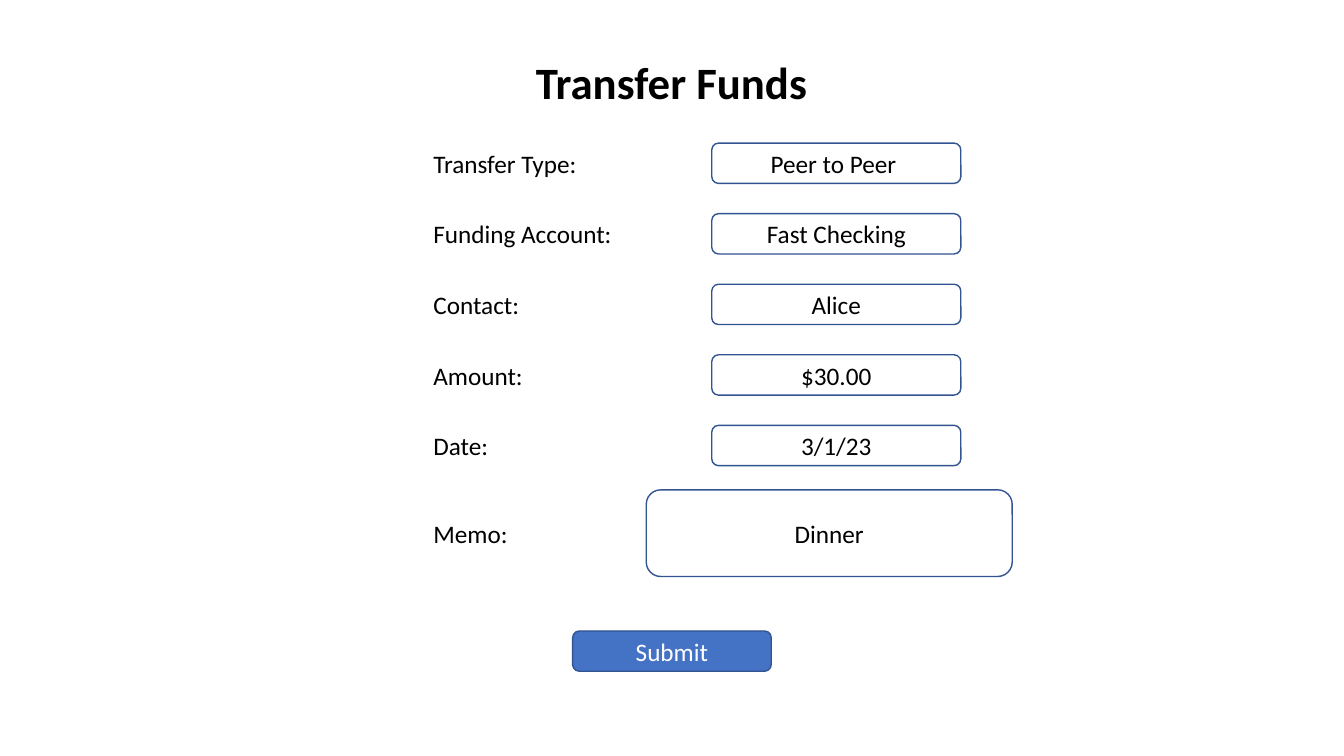
from pptx import Presentation
from pptx.dml.color import RGBColor
from pptx.enum.shapes import MSO_SHAPE as Shape
from pptx.enum.text import MSO_ANCHOR as Anchor, PP_ALIGN as Align
from pptx.util import Inches, Pt

COLORS = {"text": "000000", "light": "FFFFFF", "button": "4472C4", "outline": "325491"}
FONT = "Calibri"
SLIDE_WIDTH, SLIDE_HEIGHT = 13.33, 7.5

# Form grid, in inches
ROW_HEIGHT, ROW_PITCH = 0.4, 0.7
LABEL_WIDTH = 2.1
FIELD_OFFSET, FIELD_WIDTH = 2.86, 2.47
MEMO_OFFSET, MEMO_WIDTH, MEMO_HEIGHT = 2.21, 3.63, 0.86
MEMO_GAP = 0.24

FIELDS = [
    ("Transfer Type:", "Peer to Peer "),
    ("Funding Account:", "Fast Checking"),
    ("Contact:", "Alice"),
    ("Amount:", "$30.00"),
    ("Date:", "3/1/23"),
]
MEMO = ("Memo:", "Dinner")


def color(name):
    return RGBColor.from_string(COLORS[name])


def write_text(shape, text, size=18, ink="text", bold=False, align=Align.LEFT):
    frame = shape.text_frame
    frame.word_wrap = True
    frame.vertical_anchor = Anchor.MIDDLE
    paragraph = frame.paragraphs[0]
    paragraph.text = text
    paragraph.alignment = align
    font = paragraph.font
    font.name, font.size, font.bold = FONT, Pt(size), bold
    font.color.rgb = color(ink)


def add_label(slide, text, left, top):
    box = slide.shapes.add_textbox(*map(Inches, (left, top, LABEL_WIDTH, ROW_HEIGHT)))
    write_text(box, text)


def add_rounded_box(slide, text, box, fill=None, ink="text"):
    shape = slide.shapes.add_shape(Shape.ROUNDED_RECTANGLE, *map(Inches, box))
    shape.shadow.inherit = False
    if fill:
        shape.fill.solid()
        shape.fill.fore_color.rgb = color(fill)
    else:
        shape.fill.background()
    shape.line.color.rgb = color("outline")
    shape.line.width = Pt(1)
    write_text(shape, text, ink=ink, align=Align.CENTER)


def place_title(slide, text, box):
    title = slide.shapes.title
    title.left, title.top, title.width, title.height = map(Inches, box)
    write_text(title, text, size=32, bold=True, align=Align.CENTER)


def add_form(slide, left, top):
    # Single-line fields
    for row, (label, value) in enumerate(FIELDS):
        row_top = top + row * ROW_PITCH
        add_label(slide, label, left, row_top)
        add_rounded_box(slide, value,
                        (left + FIELD_OFFSET, row_top, FIELD_WIDTH, ROW_HEIGHT))

    # Taller memo field, with its label centred beside it
    label, value = MEMO
    memo_top = top + (len(FIELDS) - 1) * ROW_PITCH + ROW_HEIGHT + MEMO_GAP
    add_label(slide, label, left, memo_top + (MEMO_HEIGHT - ROW_HEIGHT) / 2)
    add_rounded_box(slide, value,
                    (left + MEMO_OFFSET, memo_top, MEMO_WIDTH, MEMO_HEIGHT))


def main():
    presentation = Presentation()
    presentation.slide_width = Inches(SLIDE_WIDTH)
    presentation.slide_height = Inches(SLIDE_HEIGHT)
    slide = presentation.slides.add_slide(presentation.slide_layouts.get_by_name("Title Only"))

    place_title(slide, "Transfer Funds", (5.16, 0.49, 3, 0.64))
    add_form(slide, left=4.2, top=1.42)
    add_rounded_box(slide, "Submit", (5.68, 6.26, 1.97, ROW_HEIGHT),
                    fill="button", ink="light")

    presentation.save("out.pptx")


if __name__ == "__main__":
    main()
